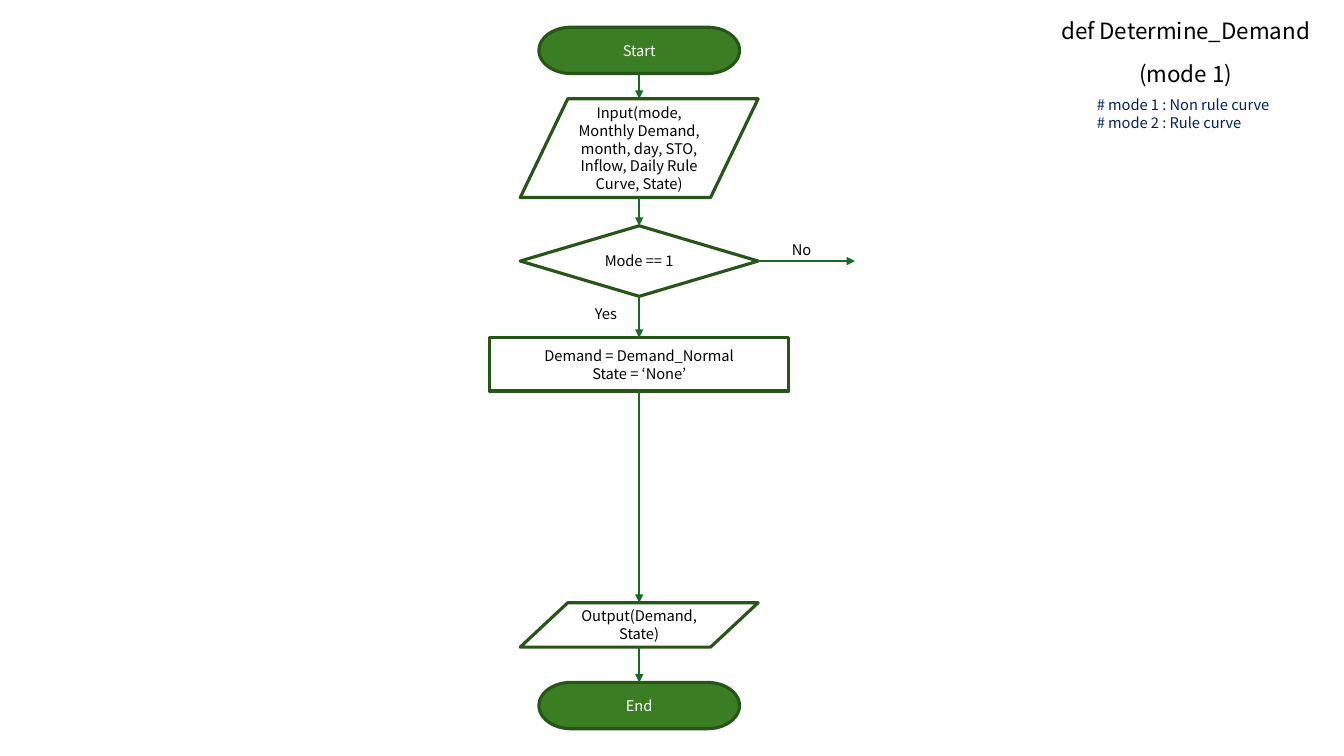
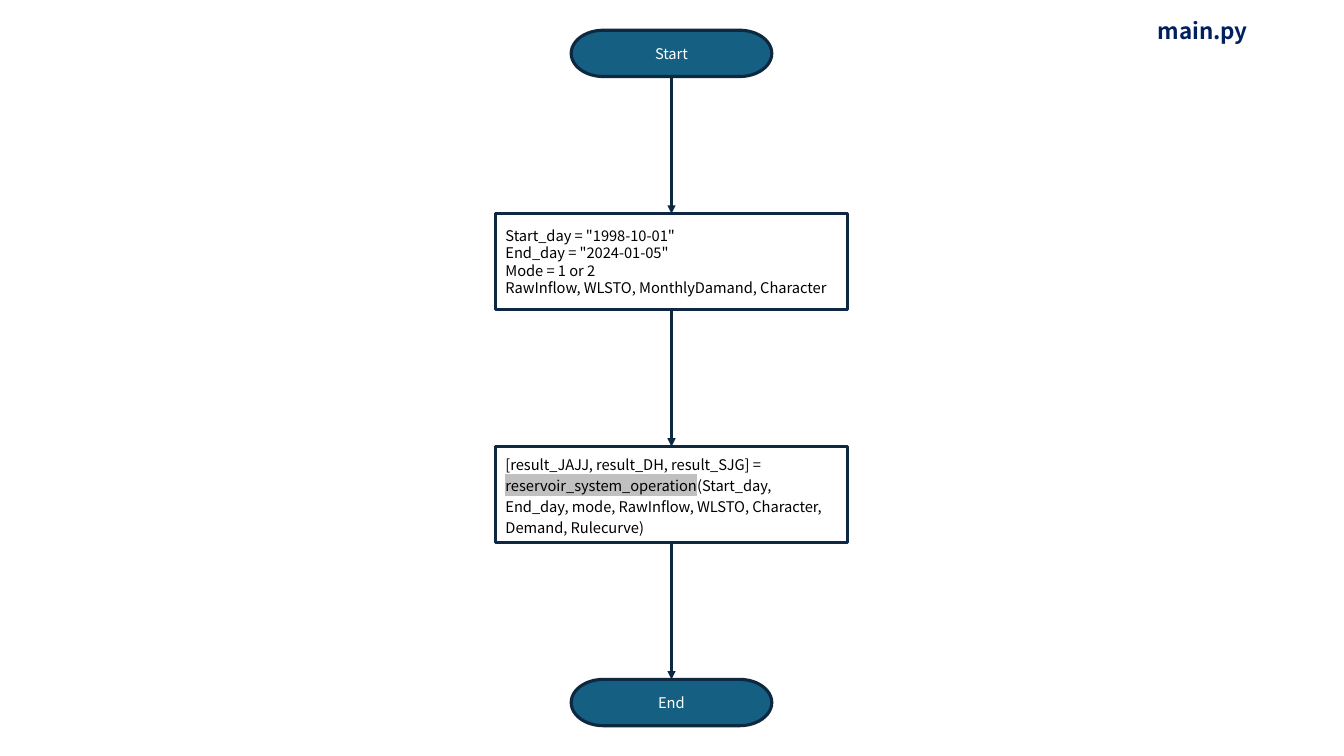
import pptx
import pptx.util
import pptx.dml.color
import pptx.enum.shapes
import pptx.enum.text
import lxml.etree

SHAPE = pptx.enum.shapes.MSO_SHAPE
ALIGN = pptx.enum.text.PP_ALIGN
PX = 9144  # 100 px to the inch
FONT = "Noto Sans CJK KR"
TITLE_SIZE, BODY_SIZE = 16, 10.5
HIGHLIGHT_SPACING = 1.2  # keeps a highlight clear of the line above
BLACK, WHITE, NAVY, GREY = "000000", "FFFFFF", "002060", "C0C0C0"

GREEN = {"fill": "3B7D23", "outline": "275417", "arrow": "196B24"}
BLUE = {"fill": "156082", "outline": "0E2841", "arrow": "0E2841"}

# kind: preset shape, width
KINDS = {
    "terminal": (SHAPE.FLOWCHART_TERMINATOR, 199),
    "data": (SHAPE.FLOWCHART_DATA, 236),
    "decision": (SHAPE.FLOWCHART_DECISION, 236),
    "process": (SHAPE.RECTANGLE, 297),
    "code": (SHAPE.RECTANGLE, 349),
}
TERMINAL_HEIGHT = 46

# Demand flow: kind, top, height, paragraphs
DEMAND_CENTER = 634
DEMAND_STEPS = [
    ("terminal", 27, TERMINAL_HEIGHT, ["Start"]),
    ("data", 98, 98, ["Input(mode, Monthly Demand, month, day, STO, Inflow, Daily Rule Curve, State)"]),
    ("decision", 224, 70, ["Mode == 1"]),
    ("process", 335, 53, ["Demand = Demand_Normal", "State = ‘None’"]),
    ("data", 598, 44, ["Output(Demand, State)"]),
    ("terminal", 677, TERMINAL_HEIGHT, ["End"]),
]
NO_BRANCH = (752, 259, 848, 259)
BRANCH_LABELS = [("Yes", (561, 300, 80, 23)), ("No", (755, 236, 80, 23))]
DEMAND_TITLE = [("def Determine_Demand", (1034, 4, 284, 52)),
                ("(mode 1)", (1034, 47, 284, 52))]
MODE_NOTES = ["# mode 1 : Non rule curve", "# mode 2 : Rule curve"]

# Main flow: kind, height, paragraphs; a paragraph may be a list of (run, highlight)
MAIN_CENTER, MAIN_TOP, MAIN_GAP = 666, 30, 136
MAIN_STEPS = [
    ("terminal", TERMINAL_HEIGHT, ["Start"]),
    ("code", 95, [
        'Start_day = "1998-10-01"',
        'End_day = "2024-01-05"',
        "Mode = 1 or 2",
        "RawInflow, WLSTO, MonthlyDamand, Character",
    ]),
    ("code", 95, [[
        ("[result_JAJJ, result_DH, result_SJG] = ", None),
        ("reservoir_system_operation", GREY),
        ("(Start_day, End_day, mode, RawInflow, WLSTO, Character, Demand, Rulecurve)", None),
    ]]),
    ("terminal", TERMINAL_HEIGHT, ["End"]),
]


def rgb(value):
    return pptx.dml.color.RGBColor.from_string(value)


def px(*lengths):
    return [pptx.util.Emu(round(length * PX)) for length in lengths]


def add_xml(parent, tag, **attributes):
    return lxml.etree.SubElement(parent, pptx.oxml.ns.qn(tag), attributes)


def highlight_run(run, color):
    properties = run.font._element
    highlight = add_xml(properties, "a:highlight")
    add_xml(highlight, "a:srgbClr", val=color)
    properties.find(pptx.oxml.ns.qn("a:solidFill")).addnext(highlight)


def write(shape, paragraphs, color=BLACK, size=BODY_SIZE, align=ALIGN.CENTER, bold=False):
    frame = shape.text_frame
    frame.word_wrap = True
    frame.vertical_anchor = pptx.enum.text.MSO_ANCHOR.MIDDLE
    for index, content in enumerate(paragraphs):
        paragraph = frame.add_paragraph() if index else frame.paragraphs[0]
        paragraph.alignment = align
        runs = [(content, None)] if isinstance(content, str) else content
        for text, highlight in runs:
            run = paragraph.add_run()
            run.text = text
            run.font.name = FONT
            run.font.size = pptx.util.Pt(size)
            run.font.bold = bold
            run.font.color.rgb = rgb(color)
            if highlight:
                highlight_run(run, highlight)
                paragraph.line_spacing = HIGHLIGHT_SPACING


def add_label(slide, box, paragraphs, **style):
    write(slide.shapes.add_textbox(*px(*box)), paragraphs, **style)


def add_step(slide, kind, center, top, height, paragraphs, theme):
    preset, width = KINDS[kind]
    step = slide.shapes.add_shape(preset, *px(center - width / 2, top, width, height))
    step.shadow.inherit = False
    step.line.color.rgb = rgb(theme["outline"])
    step.line.width = pptx.util.Pt(2.25)
    if kind == "terminal":
        step.fill.solid()
        step.fill.fore_color.rgb = rgb(theme["fill"])
    else:
        step.fill.background()
    write(step, paragraphs,
          color=WHITE if kind == "terminal" else BLACK,
          align=ALIGN.LEFT if kind == "code" else ALIGN.CENTER)


def add_arrow(slide, ends, theme):
    arrow = slide.shapes.add_connector(pptx.enum.shapes.MSO_CONNECTOR.STRAIGHT, *px(*ends))
    arrow.line.color.rgb = rgb(theme["arrow"])
    arrow.line.width = pptx.util.Pt(1.5)
    add_xml(arrow.line._get_or_add_ln(), "a:tailEnd", type="triangle")
    add_xml(arrow._element.spPr, "a:effectLst")


def add_flow(slide, center, steps, theme):
    """Stack the steps on one axis and join each to the next."""
    for kind, top, height, paragraphs in steps:
        add_step(slide, kind, center, top, height, paragraphs, theme)
    for (_, top, height, _), (_, next_top, _, _) in zip(steps, steps[1:]):
        add_arrow(slide, (center, top + height, center, next_top), theme)


def spread(steps, top, gap):
    """Give each step its top, with equal gaps between steps."""
    placed = []
    for kind, height, paragraphs in steps:
        placed.append((kind, top, height, paragraphs))
        top += height + gap
    return placed


def build_demand(slide):
    add_flow(slide, DEMAND_CENTER, DEMAND_STEPS, GREEN)
    add_arrow(slide, NO_BRANCH, GREEN)
    for answer, box in BRANCH_LABELS:
        add_label(slide, box, [answer])
    for title, box in DEMAND_TITLE:
        add_label(slide, box, [title], size=TITLE_SIZE)
    add_label(slide, (1078, 87, 196, 52), MODE_NOTES, color=NAVY, align=ALIGN.LEFT)


def build_main(slide):
    add_label(slide, (1051, 4, 284, 52), ["main.py"], color=NAVY, size=TITLE_SIZE, bold=True)
    add_flow(slide, MAIN_CENTER, spread(MAIN_STEPS, MAIN_TOP, MAIN_GAP), BLUE)


def main():
    deck = pptx.Presentation()
    deck.slide_width, deck.slide_height = px(1333, 750)
    for build in (build_demand, build_main):
        build(deck.slides.add_slide(deck.slide_layouts[6]))
    deck.save("out.pptx")


if __name__ == "__main__":
    main()
